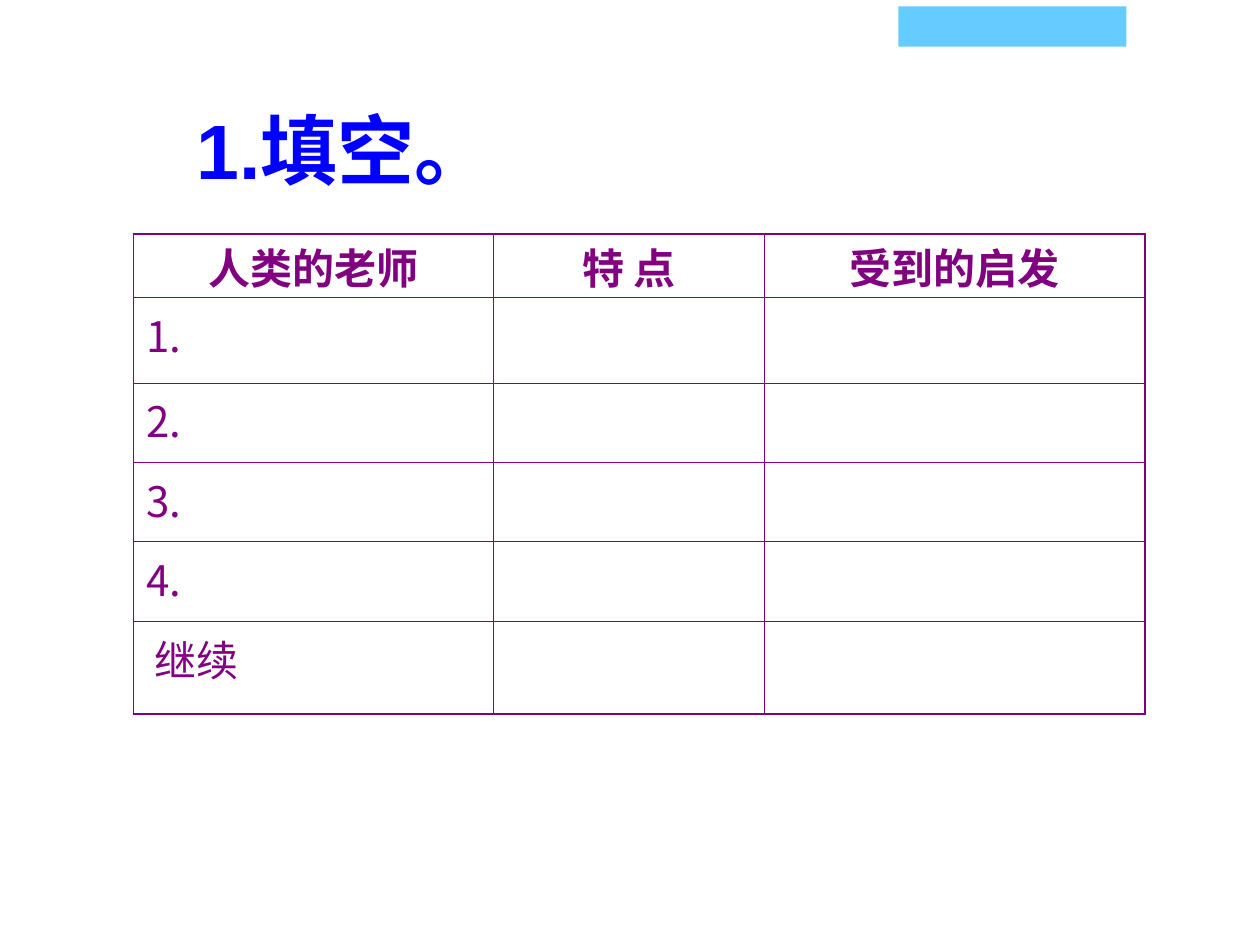
"""Build the fill-in-the-blank table slide."""
from lxml import etree
from pptx import Presentation
from pptx import util as u
from pptx.dml.color import RGBColor
from pptx.enum import shapes, text
from pptx.oxml.ns import qn

TITLE = "1.填空。"
HEADERS = ["人类的老师", "特 点", "受到的启发"]
LABELS = ["1.", "2.", "3.", "4.", "继续"]
COLUMN_WIDTHS = [7.26, 5.46, 7.67]
ROW_HEIGHTS = [1.27, 1.73, 1.6, 1.6, 1.6, 1.88]
TABLE_LEFT, TABLE_TOP = 2.69, 4.72
PURPLE, BLUE, SKY = "800080", "0000FF", "66CCFF"
THICK, THIN = 1.08, 0.45
CJK_FONT = "Noto Sans CJK SC"


def color(hex_value):
    return RGBColor.from_string(hex_value)


def style(para, size, hex_value, bold, latin):
    font = para.font
    font.size, font.bold, font.name = u.Pt(size), bold, latin
    font.color.rgb = color(hex_value)
    defaults = para._p.pPr.find(qn("a:defRPr"))
    etree.SubElement(defaults, qn("a:ea"), typeface=CJK_FONT)


def add_borders(cell, row, column):
    outer = {
        "lnL": column == 0,
        "lnR": column == len(COLUMN_WIDTHS) - 1,
        "lnT": row == 0,
        "lnB": row == len(ROW_HEIGHTS) - 1,
    }
    properties = cell._tc.get_or_add_tcPr()
    for side, is_outer in outer.items():
        width = u.Pt(THICK if is_outer else THIN)
        line = etree.SubElement(properties, qn("a:" + side), w=str(int(width)))
        fill = etree.SubElement(line, qn("a:solidFill"))
        etree.SubElement(fill, qn("a:srgbClr"), val=PURPLE)


def add_title(page):
    title = page.shapes.title
    title.left, title.top, title.width, title.height = map(u.Cm, (3.71, 1.93, 11.23, 2.13))
    frame = title.text_frame
    frame.text = TITLE
    frame.auto_size = text.MSO_AUTO_SIZE.NONE
    frame.vertical_anchor = text.MSO_ANCHOR.TOP
    para = frame.paragraphs[0]
    para.alignment = text.PP_ALIGN.LEFT
    style(para, 44, BLUE, True, "Arial")


def add_grid(page):
    contents = [HEADERS] + [[label, "", ""] for label in LABELS]
    frame = page.shapes.add_table(
        len(ROW_HEIGHTS), len(COLUMN_WIDTHS), u.Cm(TABLE_LEFT), u.Cm(TABLE_TOP),
        u.Cm(sum(COLUMN_WIDTHS)), u.Cm(sum(ROW_HEIGHTS)))
    table = frame.table
    table.first_row = table.horz_banding = False
    for column, width in zip(table.columns, COLUMN_WIDTHS):
        column.width = u.Cm(width)
    for row, height in zip(table.rows, ROW_HEIGHTS):
        row.height = u.Cm(height)
    for row, values in enumerate(contents):
        for column, value in enumerate(values):
            cell = table.cell(row, column)
            cell.text = value
            add_borders(cell, row, column)
            cell.fill.background()
            para = cell.text_frame.paragraphs[0]
            is_header = row == 0
            if is_header:
                cell.margin_top, cell.margin_bottom = u.Cm(0.03), u.Cm(0)
                para.alignment = text.PP_ALIGN.CENTER
            style(para, 24, PURPLE, is_header, CJK_FONT)
    table.cell(len(LABELS), 0).margin_left = u.Cm(0.43)


def add_banner(page):
    banner = page.shapes.add_shape(
        shapes.MSO_SHAPE.RECTANGLE, *map(u.Cm, (18.11, 0.13, 4.6, 0.81)))
    banner.shadow.inherit = False
    banner.fill.solid()
    banner.fill.fore_color.rgb = color(SKY)
    banner.line.fill.background()


def main():
    deck = Presentation()
    deck.slide_width, deck.slide_height = u.Cm(25.4), u.Cm(19.05)
    page = deck.slides.add_slide(deck.slide_layouts[5])
    add_title(page)
    add_grid(page)
    add_banner(page)
    deck.save("out.pptx")


if __name__ == "__main__":
    main()
